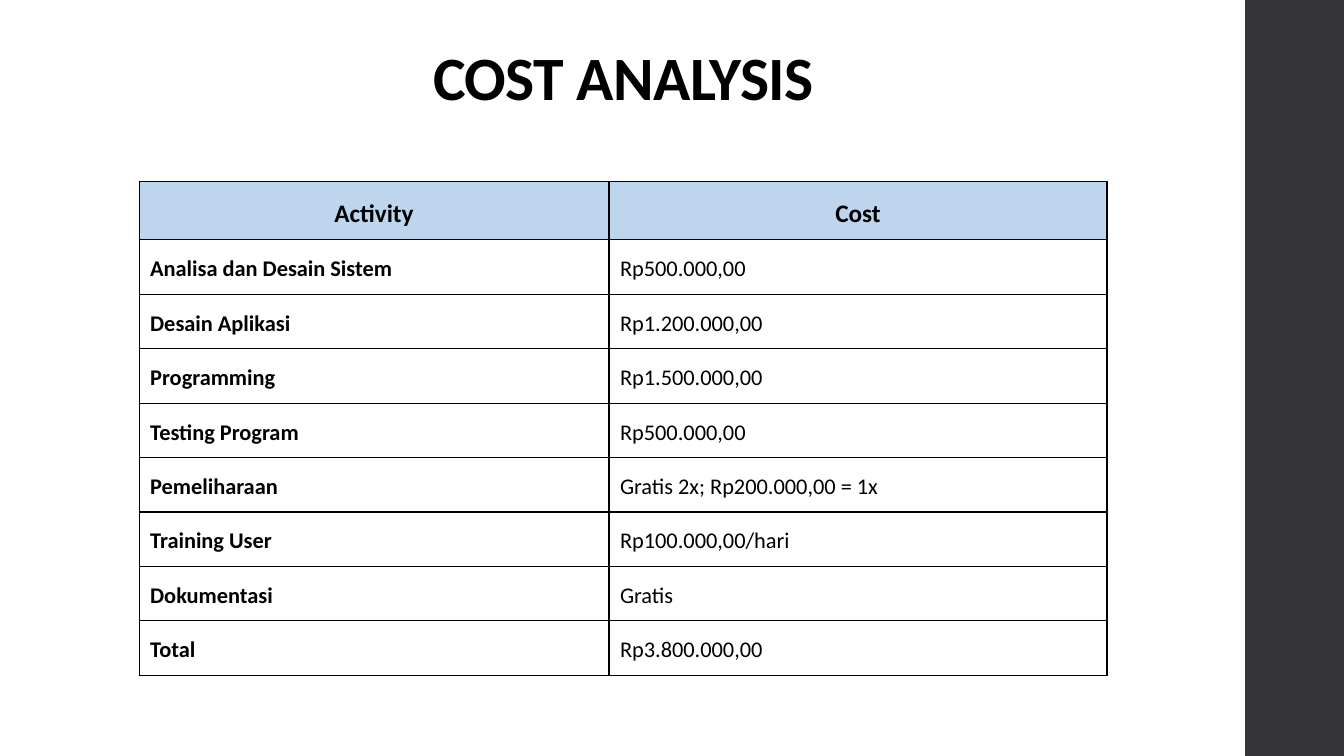
from pptx import Presentation
from pptx.dml.color import RGBColor
from pptx.enum.shapes import MSO_SHAPE
from pptx.enum.text import MSO_ANCHOR, MSO_AUTO_SIZE, PP_ALIGN
from pptx.util import Inches, Pt
from lxml.etree import SubElement
from pptx.oxml.ns import qn

COLORS = {"text": "000000", "border": "000000", "header": "BDD6EE", "sidebar": "353537"}
FONT = "Calibri"
LEFT, WIDTH = 1.38, 9.61
COLUMN_WIDTHS = [4.66, 4.94]
HEADER_HEIGHT, ROW_HEIGHT = 0.58, 0.54
COSTS = [
    ("Activity", "Cost"),
    ("Analisa dan Desain Sistem", "Rp500.000,00"),
    ("Desain Aplikasi", "Rp1.200.000,00"),
    ("Programming", "Rp1.500.000,00"),
    ("Testing Program ", "Rp500.000,00"),
    ("Pemeliharaan", "Gratis 2x; Rp200.000,00 = 1x"),
    ("Training User", "Rp100.000,00/hari"),
    ("Dokumentasi", "Gratis"),
    ("Total", "Rp3.800.000,00"),
]


def format_text(para, size, bold):
    """Set the font of every run in a paragraph."""
    for span in para.runs:
        span.font.name = FONT
        span.font.size = Pt(size)
        span.font.bold = bold
        span.font.color.rgb = RGBColor.from_string(COLORS["text"])


def add_borders(cell):
    """Draw a thin solid line on all four sides of a cell."""
    properties = cell._tc.get_or_add_tcPr()
    for side in ("a:lnL", "a:lnR", "a:lnT", "a:lnB"):
        line = SubElement(properties, qn(side), w=str(Pt(1)))
        fill = SubElement(line, qn("a:solidFill"))
        SubElement(fill, qn("a:srgbClr"), val=COLORS["border"])


deck = Presentation()
deck.slide_width, deck.slide_height = Inches(13.33), Inches(7.5)
page = deck.slides.add_slide(deck.slide_layouts[5])

# Sidebar
sidebar = page.shapes.add_shape(
    MSO_SHAPE.RECTANGLE, Inches(12.35), 0, Inches(0.98), Inches(7.5))
sidebar.shadow.inherit = False
sidebar.fill.solid()
sidebar.fill.fore_color.rgb = RGBColor.from_string(COLORS["sidebar"])
sidebar.line.fill.background()

# Title
title = page.shapes.title
title.left, title.top = Inches(LEFT), Inches(0.4)
title.width, title.height = Inches(WIDTH), Inches(0.78)
frame = title.text_frame
frame.text = "COST ANALYSIS"
frame.word_wrap = True
frame.auto_size = MSO_AUTO_SIZE.NONE
frame.vertical_anchor = MSO_ANCHOR.BOTTOM
heading = frame.paragraphs[0]
heading.alignment = PP_ALIGN.CENTER
heading.line_spacing = 0.9
format_text(heading, 44, True)
heading.runs[0].font._element.set("spc", "-50")

# Cost table
table_height = HEADER_HEIGHT + ROW_HEIGHT * (len(COSTS) - 1)
table = page.shapes.add_table(
    len(COSTS), len(COLUMN_WIDTHS), Inches(LEFT), Inches(1.8),
    Inches(WIDTH), Inches(table_height)).table
for column, width in zip(table.columns, COLUMN_WIDTHS):
    column.width = Inches(width)

for row_index, entries in enumerate(COSTS):
    is_header = row_index == 0
    table.rows[row_index].height = Inches(HEADER_HEIGHT if is_header else ROW_HEIGHT)
    for column_index, entry in enumerate(entries):
        cell = table.cell(row_index, column_index)
        cell.margin_left = cell.margin_right = Inches(0.11)
        cell.margin_top, cell.margin_bottom = Inches(0.02), 0
        add_borders(cell)
        if is_header:
            cell.fill.solid()
            cell.fill.fore_color.rgb = RGBColor.from_string(COLORS["header"])
        else:
            cell.fill.background()
        para = cell.text_frame.paragraphs[0]
        para.text = entry
        para.alignment = PP_ALIGN.CENTER if is_header else PP_ALIGN.LEFT
        para.line_spacing = 1.5
        para.space_after = Pt(8)
        format_text(para, 18 if is_header else 16, is_header or column_index == 0)

deck.save("out.pptx")
